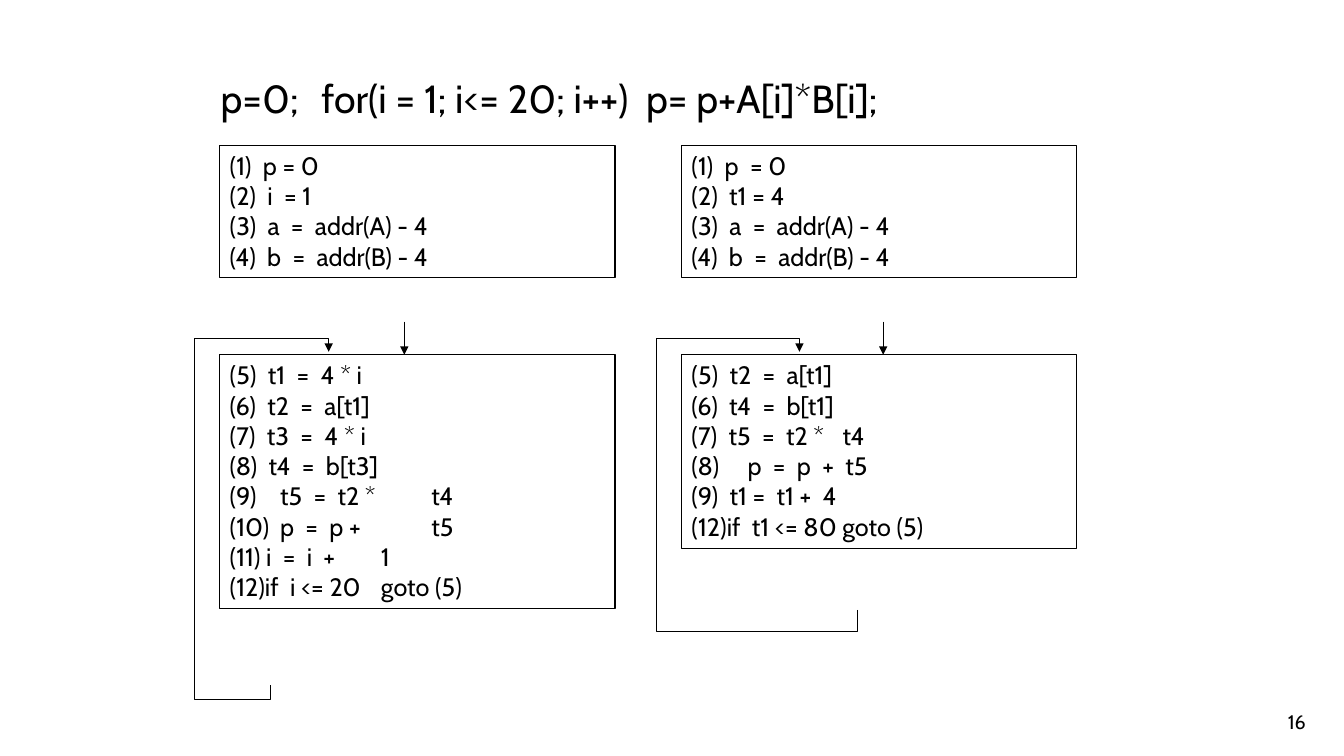
from lxml import etree
from pptx import Presentation
from pptx.dml.color import RGBColor
from pptx.enum.shapes import MSO_CONNECTOR as CONN, MSO_SHAPE as SHAPE
from pptx.enum.text import MSO_ANCHOR as ANCHOR, PP_ALIGN as ALIGN
from pptx.oxml.ns import qn
from pptx.util import Inches, Pt

COLORS = {"ink": "000000"}
FONT = "Cabin"
INK = RGBColor.from_string(COLORS["ink"])

# Each line is its text, or (first number, text) where the number is automatic
LEFT_SETUP = ["(1)  p = 0", "(2)  i  = 1", "(3)  a  =  addr(A) - 4",
              "(4)  b  =  addr(B) - 4"]
LEFT_LOOP = ["(5)  t1  =  4 * i", "(6)  t2  =  a[t1]", "(7)  t3  =  4 * i",
             "(8)  t4  =  b[t3]", (9, "t5  =  t2 *\tt4"), (9, "p  =  p +\tt5"),
             "(11) i  =  i  +\t1", "(12)if  i <= 20\tgoto (5)"]
RIGHT_SETUP = ["(1)  p  = 0", "(2)  t1 = 4", *LEFT_SETUP[2:]]
RIGHT_LOOP = ["(5)  t2  =  a[t1]", "(6)  t4  =  b[t1]", "(7)  t5  =  t2 *\tt4",
              (8, " p  =  p  +  t5"), "(9)  t1 =  t1 +  4",
              "(12)if  t1 <= 80 goto (5)"]


def write(tf, lines, size=18, align=ALIGN.LEFT, anchor=ANCHOR.TOP, hang=0):
    tf.word_wrap = True
    tf.vertical_anchor = anchor
    for i, line in enumerate(lines):
        start, text = line if isinstance(line, tuple) else (None, line)
        p = tf.add_paragraph() if i else tf.paragraphs[0]
        p.alignment = align
        pPr = p._p.get_or_add_pPr()
        pPr.set("defTabSz", str(Inches(1)))
        if hang:
            pPr.set("marL", str(Inches(hang)))
            pPr.set("indent", str(Inches(-hang)))
        if start:
            etree.SubElement(pPr, qn("a:buFont"), typeface=FONT)
            etree.SubElement(pPr, qn("a:buAutoNum"), type="arabicParenBoth",
                             startAt=str(start))
        r = p.add_run()
        r.text = text
        r.font.size, r.font.name = Pt(size), FONT
        r.font.color.rgb = INK


def add_text(s, x, y, w, h, text, **fmt):
    box = s.shapes.add_textbox(Inches(x), Inches(y), Inches(w), Inches(h))
    write(box.text_frame, [text], **fmt)


def outline(sp, arrow=False):
    sp.line.color.rgb = INK
    sp.line.width = Pt(0.75)
    if arrow:
        etree.SubElement(sp.line._get_or_add_ln(), qn("a:tailEnd"), type="triangle")


def add_block(s, x, y, w, h, lines, hang=0):
    sp = s.shapes.add_shape(SHAPE.RECTANGLE, Inches(x), Inches(y), Inches(w), Inches(h))
    sp.shadow.inherit = False
    sp.fill.background()
    outline(sp)
    write(sp.text_frame, lines, hang=hang)


def add_flow(s, x, y, w, setup, loop, loop_h, entry_x, back):
    """Setup block above a loop block, with entry arrow and back edge."""
    loop_y = y + 2.08
    add_block(s, x, y, w, 1.31, setup)
    add_block(s, x, loop_y, w, loop_h, loop, hang=0.5)

    # Entry arrow
    ax = Inches(x + entry_x)
    arrow = s.shapes.add_connector(CONN.STRAIGHT, ax, Inches(loop_y - 0.33),
                                   ax, Inches(loop_y))
    outline(arrow, arrow=True)
    etree.SubElement(arrow._element.spPr, qn("a:effectLst"))

    # Back edge from below the loop to its top
    from_x, from_y, low_y, to_x = back
    side, top = x - 0.25, loop_y - 0.16
    pts = [(x + from_x, y + from_y), (x + from_x, y + low_y), (side, y + low_y),
           (side, top), (x + to_x, top), (x + to_x, loop_y - 0.03)]
    pts = [(Inches(px), Inches(py)) for px, py in pts]
    fb = s.shapes.build_freeform(*pts[0])
    fb.add_line_segments(pts[1:], close=False)
    edge = fb.convert_to_shape()
    edge.shadow.inherit = False
    edge.fill.background()
    outline(edge, arrow=True)


def main():
    prs = Presentation()
    prs.slide_width, prs.slide_height = Inches(13.33), Inches(7.5)
    s = prs.slides.add_slide(prs.slide_layouts[6])

    # Code before and after optimisation
    add_flow(s, 2.18, 1.44, 3.92, LEFT_SETUP, LEFT_LOOP, 2.52, 1.83,
             (0.5, 5.36, 5.5, 1.08))
    add_flow(s, 6.76, 1.44, 3.92, RIGHT_SETUP, RIGHT_LOOP, 1.92, 2,
             (1.75, 4.61, 4.83, 1.17))

    # Source statement and slide number
    add_text(s, 2.09, 0.69, 8.92, 0.57,
             "p=0;\tfor(i = 1; i<= 20; i++)  p= p+A[i]*B[i];", size=28)
    add_text(s, 10.27, 6.83, 2.78, 0.5, "16", size=14, align=ALIGN.RIGHT,
             anchor=ANCHOR.BOTTOM)
    prs.save("out.pptx")


if __name__ == "__main__":
    main()
